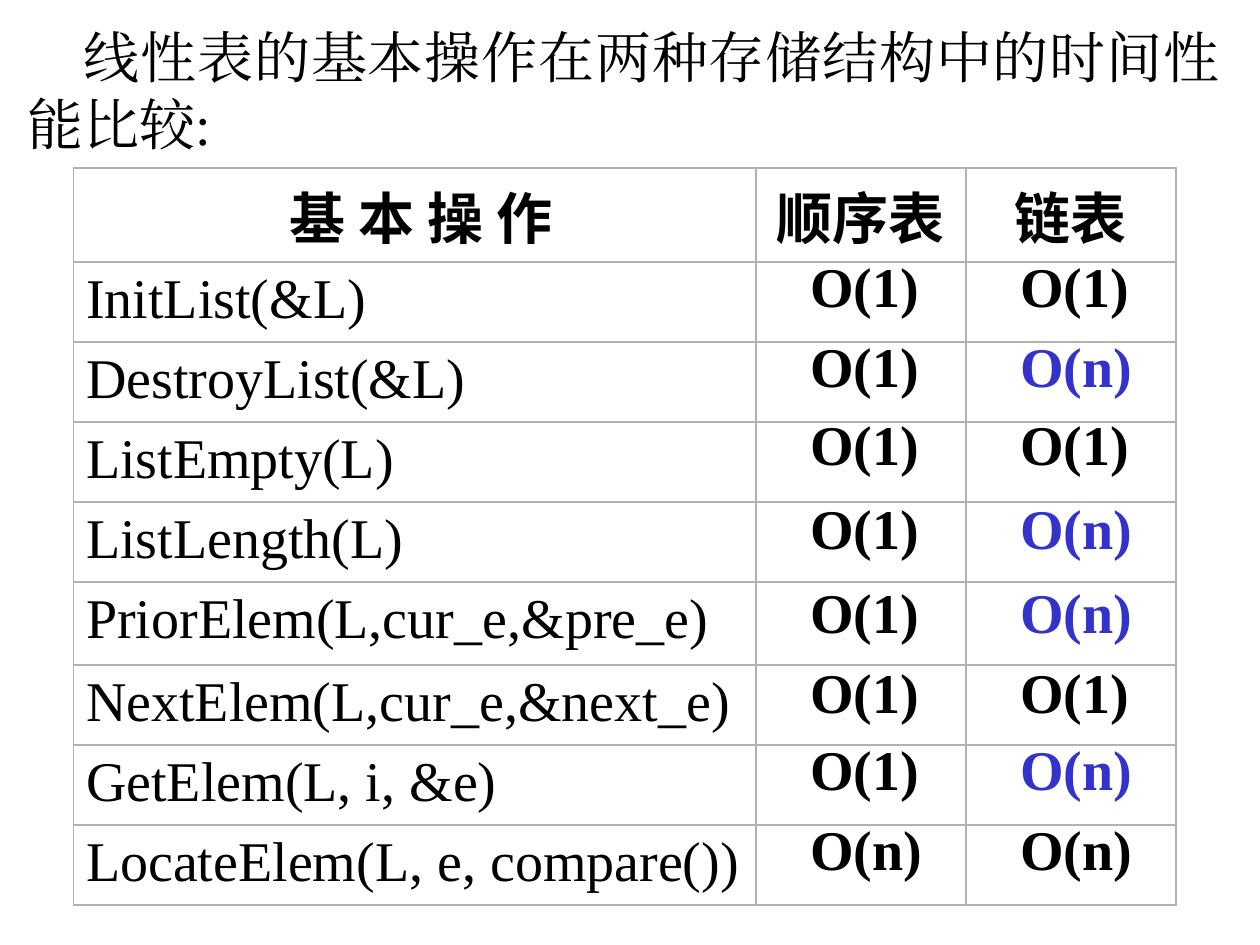
"""Build a slide comparing list operation costs in two storage structures."""
from lxml.etree import SubElement
from pptx import Presentation
from pptx.dml.color import RGBColor
from pptx.enum.text import MSO_ANCHOR, MSO_AUTO_SIZE, PP_ALIGN
from pptx.oxml.ns import qn
from pptx.util import Pt

TITLE = "线性表的基本操作在两种存储结构中的时间性能比较:"
HEADS = [" 基 本 操 作", "顺序表", "链表"]
BLACK, BLUE, GRAY = "000000", "3333CC", "B2B2B2"
SERIF, SANS = "Times New Roman", "Noto Sans CJK SC"
# operation, row height, top of costs, array cost, linked cost, linked colour
ROWS = [
    ("InitList(&L)", 45.7, 140.4, "O(1)", "O(1)", BLACK),
    ("DestroyList(&L)", 45.7, 185.8, "O(1)", "O(n)", BLUE),
    ("ListEmpty(L)", 45.7, 230.4, "O(1)", "O(1)", BLACK),
    ("ListLength(L)", 45.7, 278.6, "O(1)", "O(n)", BLUE),
    ("PriorElem(L,cur_e,&pre_e)", 47.5, 326.2, "O(1)", "O(n)", BLUE),
    ("NextElem(L,cur_e,&next_e)", 45.7, 372.2, "O(1)", "O(1)", BLACK),
    ("GetElem(L, i, &e)", 45.7, 416.2, "O(1)", "O(n)", BLUE),
    ("LocateElem(L, e, compare())", 45.7, 462.2, "O(n)", "O(n)", BLACK),
]
WIDTHS = [390, 120, 120]
HEAD = 45.7
COSTS = [456, 576]
INSETS = {"margin_left": Pt(7.2), "margin_right": Pt(7.2),
          "margin_top": Pt(3.6), "margin_bottom": Pt(3.6)}
FRAME = {**INSETS, "word_wrap": True, "auto_size": MSO_AUTO_SIZE.NONE,
         "vertical_anchor": MSO_ANCHOR.TOP}


def apply(item, values):
    for name, value in values.items():
        setattr(item, name, value)


def color(code):
    return RGBColor.from_string(code)


def write(frame, text, face=SERIF, bold=False, code=BLACK, align=PP_ALIGN.LEFT):
    line = frame.paragraphs[0]
    apply(line, {"alignment": align, "space_before": Pt(0), "line_spacing": 1.0})
    run = line.add_run()
    run.text = text
    apply(run.font, {"size": Pt(32), "bold": bold, "name": face})
    run.font.color.rgb = color(code)
    SubElement(run.font._element, qn("a:ea"), typeface=face)
    return line


def border(cell):
    props = cell._tc.get_or_add_tcPr()
    for place, side in enumerate(("lnL", "lnR", "lnT", "lnB")):
        edge = props.makeelement(qn(f"a:{side}"), {"w": str(Pt(1))})
        props.insert(place, edge)
        SubElement(SubElement(edge, qn("a:solidFill")), qn("a:srgbClr"), val=GRAY)


def add_title(slide):
    title = slide.shapes.title
    apply(title, {"left": Pt(8.6), "top": Pt(9.4), "width": Pt(696), "height": Pt(84)})
    apply(title.text_frame, FRAME)
    line = write(title.text_frame, TITLE, align=PP_ALIGN.JUSTIFY)
    line._p.get_or_add_pPr().set("indent", str(Pt(32)))


def add_grid(slide):
    highs = [HEAD] + [row[1] for row in ROWS]
    grid = slide.shapes.add_table(len(highs), len(WIDTHS), Pt(42), Pt(96),
                                  Pt(sum(WIDTHS)), Pt(sum(highs))).table
    apply(grid, {"first_row": False, "horz_banding": False})
    for col, width in zip(grid.columns, WIDTHS):
        col.width = Pt(width)
    for row, high in zip(grid.rows, highs):
        row.height = Pt(high)
    for cell in grid.iter_cells():
        apply(cell, INSETS)
        cell.fill.background()
        border(cell)
    for col, text in enumerate(HEADS):
        write(grid.cell(0, col).text_frame, text, SANS, True, align=PP_ALIGN.CENTER)
    for row, item in enumerate(ROWS, 1):
        write(grid.cell(row, 0).text_frame, item[0])


def add_costs(slide):
    for _, _, top, array, linked, code in ROWS:
        for left, text, shade in zip(COSTS, (array, linked), (BLACK, code)):
            box = slide.shapes.add_textbox(Pt(left), Pt(top), Pt(84), Pt(45.4))
            apply(box.text_frame, FRAME)
            write(box.text_frame, text, bold=True, code=shade)


def main():
    deck = Presentation()
    apply(deck, {"slide_width": Pt(720), "slide_height": Pt(540)})
    slide = deck.slides.add_slide(deck.slide_layouts[5])
    add_title(slide)
    add_grid(slide)
    add_costs(slide)
    deck.save("out.pptx")


if __name__ == "__main__":
    main()
